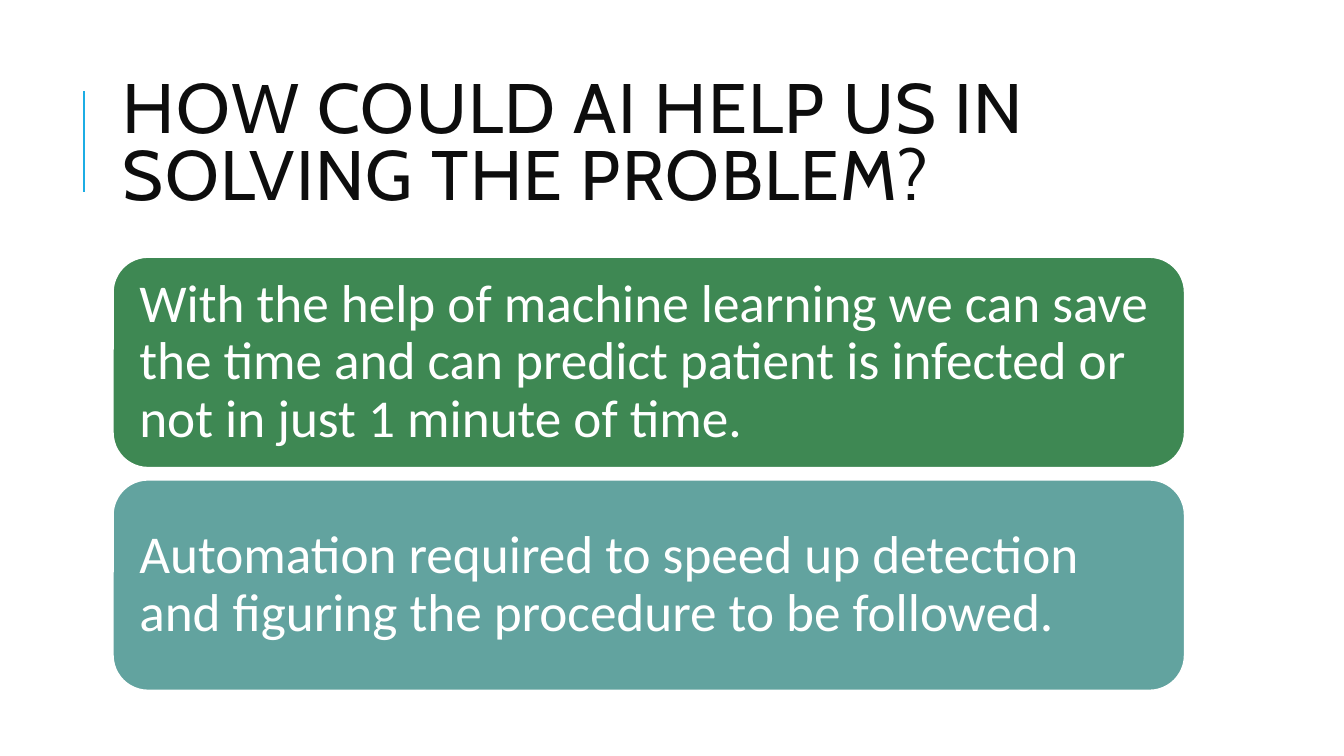
from lxml import etree
from pptx import Presentation
from pptx import util as u
from pptx.dml.color import RGBColor
from pptx.enum import shapes, text
from pptx.oxml.ns import qn

WHITE = RGBColor(0xFF, 0xFF, 0xFF)
INK = RGBColor(0x0D, 0x0D, 0x0D)
BLUE = RGBColor(0x1C, 0xAD, 0xE4)
GREEN = RGBColor(0x3E, 0x88, 0x53)
TEAL = RGBColor(0x62, 0xA3, 0x9F)

TITLE = "HOW COULD AI HELP US IN SOLVING THE PROBLEM?"
ANSWERS = [
    ("With the help of machine learning we can save the time and can predict "
     "patient is infected or not in just 1 minute of time.", GREEN),
    ("Automation required to speed up detection and figuring the procedure "
     "to be followed.", TEAL),
]
LEFT, WIDTH = 1.12, 10.63


def write(shape, wording, font_name, size, color, line_spacing):
    frame = shape.text_frame
    frame.text = wording
    frame.word_wrap = True
    frame.vertical_anchor = text.MSO_ANCHOR.MIDDLE
    paragraph = frame.paragraphs[0]
    paragraph.alignment = text.PP_ALIGN.LEFT
    paragraph.line_spacing = line_spacing
    font = paragraph.runs[0].font
    font.name, font.size = font_name, u.Pt(size)
    font.color.rgb = color
    return font


def add_title(slide, left, top, width, height):
    rule_x, rule_top, rule_length = left - 0.29, top + 0.26, 1
    rule = slide.shapes.add_connector(
        shapes.MSO_CONNECTOR.STRAIGHT, u.Inches(rule_x),
        u.Inches(rule_top + rule_length), u.Inches(rule_x), u.Inches(rule_top))
    rule.line.color.rgb = BLUE
    rule.line.width = u.Pt(1.5)
    etree.SubElement(rule._element.spPr, qn("a:effectLst"))

    title = slide.shapes.add_textbox(*map(u.Inches, (left, top, width, height)))
    font = write(title, TITLE, "Cabin", 50, INK, 0.8)
    font._element.set("spc", "100")


def add_answers(slide, left, top, width, height, gap=0.12):
    card_height = (height - gap * (len(ANSWERS) - 1)) / len(ANSWERS)
    for row, (wording, color) in enumerate(ANSWERS):
        card_top = top + row * (card_height + gap)
        card = slide.shapes.add_shape(
            shapes.MSO_SHAPE.ROUNDED_RECTANGLE,
            *map(u.Inches, (left, card_top, width, card_height)))
        card.shadow.inherit = False
        card.fill.solid()
        card.fill.fore_color.rgb = color
        card.line.color.rgb = WHITE
        card.line.width = u.Pt(1.25)
        frame = card.text_frame
        frame.margin_left = frame.margin_right = u.Inches(0.16)
        frame.margin_top = frame.margin_bottom = u.Inches(0.16)
        write(card, wording, "Calibri", 38, WHITE, 0.9)


def main():
    presentation = Presentation()
    presentation.slide_width = u.Inches(13.33)
    presentation.slide_height = u.Inches(7.5)
    slide = presentation.slides.add_slide(presentation.slide_layouts[6])
    add_title(slide, LEFT, 0.64, WIDTH, 1.64)
    add_answers(slide, LEFT, 2.55, WIDTH, 4.3)
    presentation.save("out.pptx")


if __name__ == "__main__":
    main()
